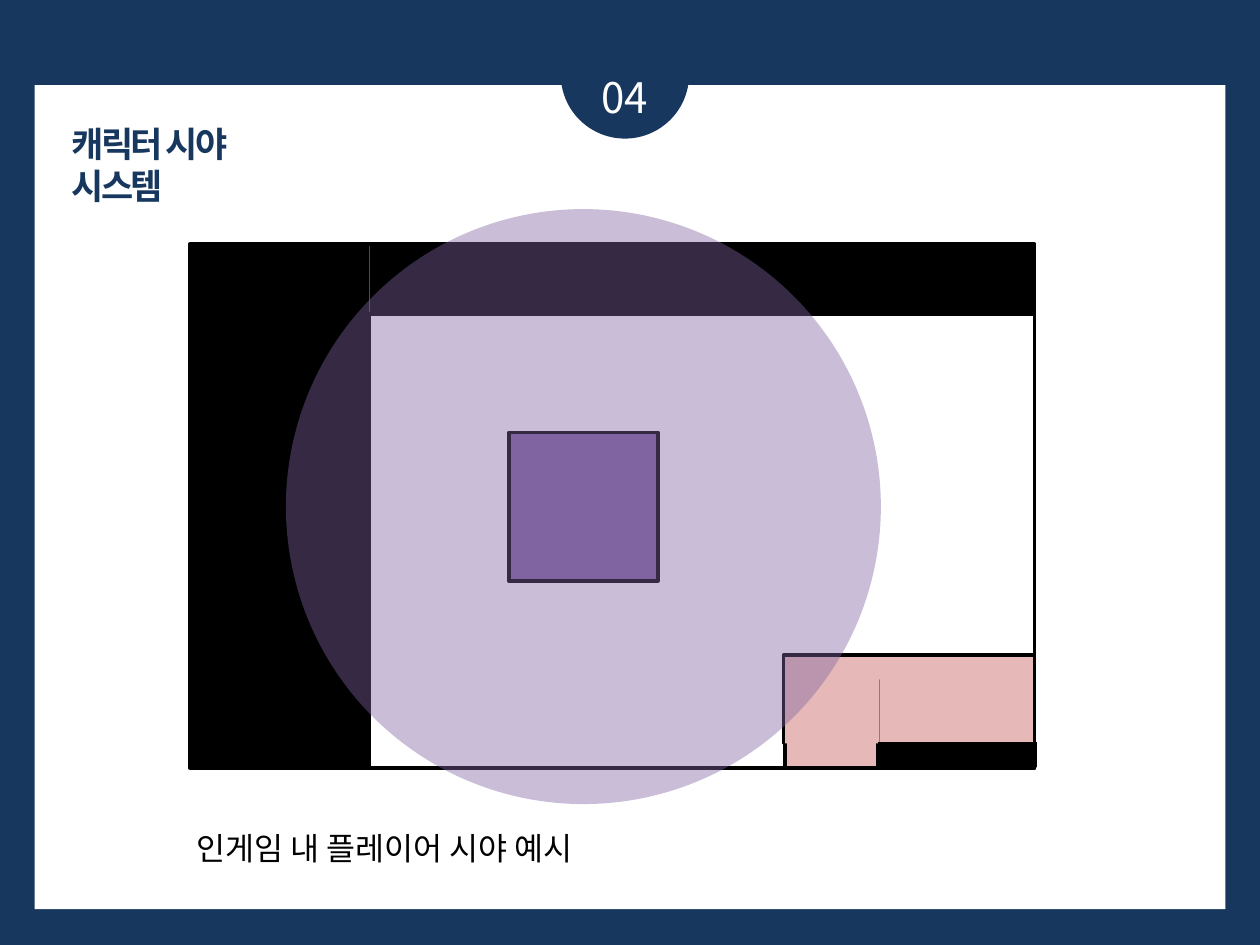
import dataclasses
import typing

import lxml.etree
import pptx
import pptx.dml.color
import pptx.enum.shapes
import pptx.enum.text
import pptx.oxml.ns
import pptx.util

Pt = pptx.util.Pt
RECT = pptx.enum.shapes.MSO_SHAPE.RECTANGLE
OVAL = pptx.enum.shapes.MSO_SHAPE.OVAL
ALIGN = pptx.enum.text.PP_ALIGN


@dataclasses.dataclass(frozen=True)
class Theme:
    navy: str = "17375E"
    white: str = "FFFFFF"
    black: str = "000000"
    purple: str = "8064A2"
    pink: str = "E6B9B8"
    font: str = "Noto Sans CJK KR"
    number_size: float = 24
    title_size: float = 20
    caption_size: float = 18
    outline: float = 2


THEME = Theme()


@dataclasses.dataclass(frozen=True)
class Box:
    left: float
    top: float
    width: float
    height: float

    def emu(self) -> tuple:
        return tuple(Pt(n) for n in dataclasses.astuple(self))


@dataclasses.dataclass(frozen=True)
class Area:
    box: Box
    fill: typing.Optional[str] = None
    outlined: bool = False
    kind: typing.Any = RECT
    opacity: int = 100


def rgb(colour: str) -> pptx.dml.color.RGBColor:
    return pptx.dml.color.RGBColor.from_string(colour)


def square_around(x: float, y: float, side: float) -> Box:
    return Box(x - side / 2, y - side / 2, side, side)


def draw_area(slide, area: Area) -> None:
    shape = slide.shapes.add_shape(area.kind, *area.box.emu())
    shape.shadow.inherit = False
    if area.fill:
        shape.fill.solid()
        shape.fill.fore_color.rgb = rgb(area.fill)
    else:
        shape.fill.background()
    if area.opacity < 100:
        colour = shape.fill._xPr.find(".//" + pptx.oxml.ns.qn("a:srgbClr"))
        alpha = lxml.etree.SubElement(colour, pptx.oxml.ns.qn("a:alpha"))
        alpha.set("val", str(area.opacity * 1000))
    if area.outlined:
        shape.line.color.rgb = rgb(THEME.black)
        shape.line.width = Pt(THEME.outline)
    else:
        shape.line.fill.background()


def write(slide, text: str, box: Box, *, size: float, colour: str, bold: bool = False,
          align=ALIGN.LEFT, spacing: float = 0) -> None:
    frame = slide.shapes.add_textbox(*box.emu()).text_frame
    frame.word_wrap = True
    frame.auto_size = pptx.enum.text.MSO_AUTO_SIZE.SHAPE_TO_FIT_TEXT
    paragraph = frame.paragraphs[0]
    paragraph.alignment = align
    run = paragraph.add_run()
    run.text = text
    run.font.name = THEME.font
    run.font.size = Pt(size)
    run.font.bold = bold
    run.font.color.rgb = rgb(colour)
    properties = run._r.get_or_add_rPr()
    east_asian = lxml.etree.SubElement(properties, pptx.oxml.ns.qn("a:ea"))
    east_asian.set("typeface", THEME.font)
    if spacing:
        properties.set("spc", str(round(spacing * 100)))


def main() -> None:
    deck = pptx.Presentation()
    deck.slide_width, deck.slide_height = Pt(720), Pt(540)
    slide = deck.slides.add_slide(deck.slide_layouts[6])
    slide.background.fill.solid()
    slide.background.fill.fore_color.rgb = rgb(THEME.navy)

    draw_area(slide, Area(Box(19.8, 48.6, 680.4, 470.9), THEME.white))
    draw_area(slide, Area(Box(320.4, 5.8, 73.4, 73.4), THEME.navy, kind=OVAL))
    write(slide, "04", Box(314.6, 37.4, 85, 36), size=THEME.number_size,
          colour=THEME.white, align=ALIGN.CENTER)
    write(slide, "캐릭터 시야 시스템", Box(33.8, 66.2, 156.2, 31.7), size=THEME.title_size,
          colour=THEME.navy, bold=True, spacing=-1.5)

    map_left, map_top, map_width, map_height = 108.5, 139.5, 482.7, 299.3
    wall_width, wall_height = 102.5, 39.8
    room_left, room_width = map_left + wall_width, map_width - wall_width
    player_x, player_y = 333.4, 289.5

    game_map = [
        Area(Box(room_left, map_top + wall_height, room_width, map_height - wall_height),
             outlined=True),
        Area(Box(map_left, map_top, map_width, map_height), outlined=True),
        Area(square_around(player_x, player_y, 85), THEME.purple, outlined=True),
        Area(Box(447.8, 374.4, 143.3, 50.4), THEME.pink, outlined=True),
        Area(Box(448.6, 388.8, 53.3, 50), THEME.pink, outlined=True),
        Area(Box(448.6, 380.9, 54, 43.9), THEME.pink),
        Area(Box(501.8, 424.1, 90.7, 14.4), THEME.black),
        Area(Box(map_left, map_top, wall_width, map_height), THEME.black),
        Area(Box(room_left, map_top, room_width, wall_height), THEME.black),
        Area(square_around(player_x, player_y, 340), THEME.purple, kind=OVAL, opacity=42),
    ]
    for area in game_map:
        draw_area(slide, area)

    write(slide, "인게임 내 플레이어 시야 예시", Box(105.1, 470.2, 232.6, 28.8),
          size=THEME.caption_size, colour=THEME.black)
    deck.save("out.pptx")


if __name__ == "__main__":
    main()
